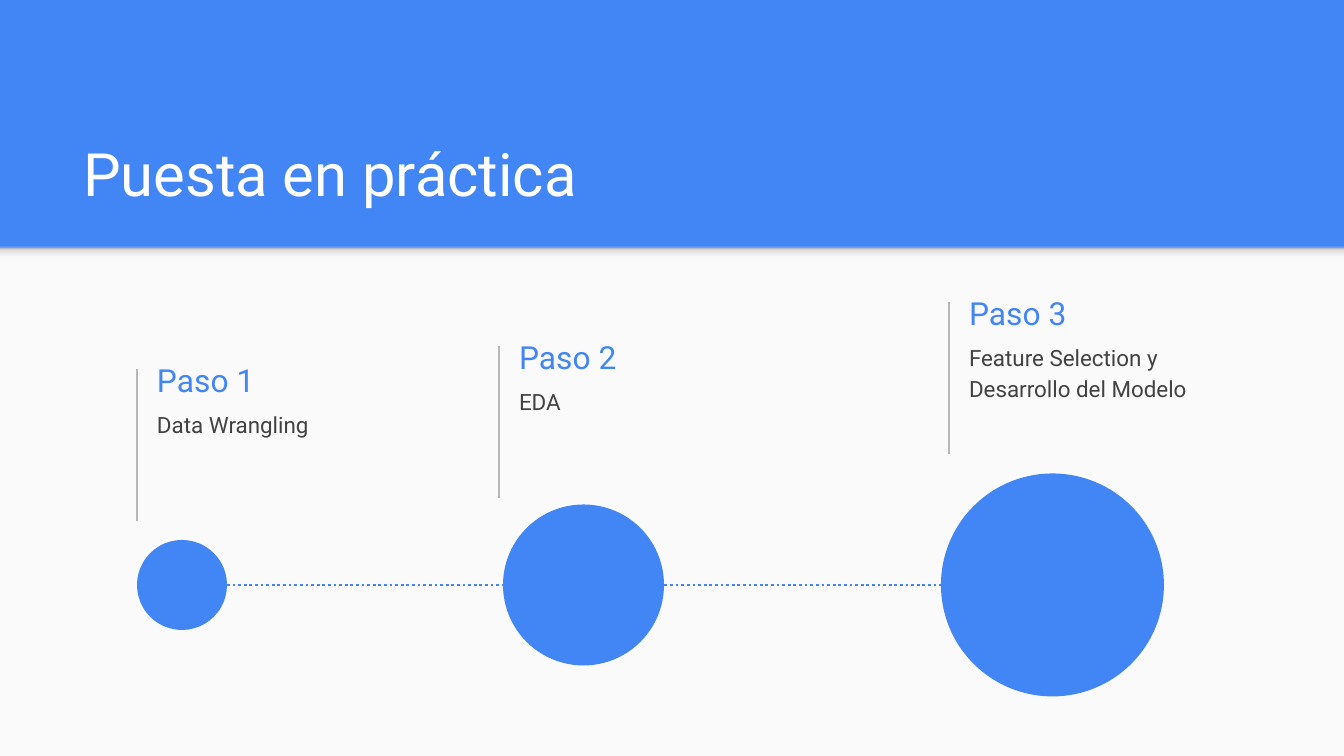
"""Build the slide with three growing steps on a dotted timeline."""
import copy
import pptx
import pptx.util
import pptx.dml.color
import pptx.enum.dml
import pptx.enum.shapes
import pptx.enum.text
import pptx.oxml.ns
import lxml.etree

HUES = {"blue": "4285F4", "paper": "FAFAFA", "white": "FFFFFF",
        "rule": "B7B7B7", "text": "424242"}
FADE = [(0, "F9F9F9"), (0.36, "F9F9F9"), (0.8, "DEDEDE"), (1, "999999")]
TITLE = "Puesta en práctica"
STEPS = [
    {"head": "Paso 1", "note": "Data Wrangling", "rule": (137, 369), "dot": (137, 90)},
    {"head": "Paso 2", "note": "EDA", "rule": (499, 346), "dot": (503, 161)},
    {"head": "Paso 3", "note": "Feature Selection y Desarrollo del Modelo",
     "rule": (949, 302), "dot": (941, 223)},
]
WIDE, HIGH, EDGE, AXIS = 1344, 756, 247, 585
RULE, INSET = 152, 13
KIND = pptx.enum.shapes.MSO_SHAPE
ANCHOR = pptx.enum.text.MSO_ANCHOR


def px(num):
    return pptx.util.Emu(round(num * 914400 / 134.4))


def rgb(code):
    return pptx.dml.color.RGBColor.from_string(code)


def shape(slide, kind, box, hue):
    item = slide.shapes.add_shape(kind, *map(px, box))
    item.shadow.inherit = False
    item.fill.solid()
    item.fill.fore_color.rgb = rgb(HUES[hue])
    item.line.fill.background()
    return item


def line(slide, ends, hue, size):
    item = slide.shapes.add_connector(
        pptx.enum.shapes.MSO_CONNECTOR.STRAIGHT, *map(px, ends))
    item.line.color.rgb = rgb(HUES[hue])
    item.line.width = pptx.util.Pt(size)
    lxml.etree.SubElement(item._element.spPr, pptx.oxml.ns.qn("a:effectLst"))
    return item


def write(item, text, size, hue, anchor):
    frame = item.text_frame
    frame.text = text
    frame.word_wrap = True
    frame.auto_size = pptx.enum.text.MSO_AUTO_SIZE.NONE
    frame.vertical_anchor = anchor
    frame.margin_left = frame.margin_right = px(INSET)
    frame.margin_top = frame.margin_bottom = px(INSET)
    para = frame.paragraphs[0]
    para.alignment = pptx.enum.text.PP_ALIGN.LEFT
    para.font.name = "Roboto"
    para.font.size = pptx.util.Pt(size)
    para.font.color.rgb = rgb(HUES[hue])
    return para


def label(slide, box, *style):
    return write(slide.shapes.add_textbox(*map(px, box)), *style)


def fade(item):
    item.fill.gradient()
    item.fill.gradient_angle = 90
    stops = item._element.spPr.find(".//" + pptx.oxml.ns.qn("a:gsLst"))
    for _ in FADE[2:]:
        stops.append(copy.deepcopy(stops[0]))
    for stop, (spot, code) in zip(item.fill.gradient_stops, FADE):
        stop.position = spot
        stop.color.rgb = rgb(code)


def main():
    deck = pptx.Presentation()
    deck.slide_width, deck.slide_height = px(WIDE), px(HIGH)
    slide = deck.slides.add_slide(deck.slide_layouts[5])
    slide.background.fill.solid()
    slide.background.fill.fore_color.rgb = rgb(HUES["blue"])

    title = slide.shapes.title
    title.left, title.top, title.width, title.height = map(px, (70, 109, 1208, 113))
    write(title, TITLE, 32, "white", ANCHOR.BOTTOM)

    shape(slide, KIND.RECTANGLE, (0, EDGE, WIDE, HIGH - EDGE), "paper")
    fade(shape(slide, KIND.RECTANGLE, (0, EDGE, WIDE, 16), "paper"))

    for step in STEPS:
        left, top = step["rule"]
        line(slide, (left, top, left, top + RULE), "rule", 0.75)
        label(slide, (left + 7, top - 18, 266, 58),
              step["head"], 17, "blue", ANCHOR.MIDDLE)
        note = label(slide, (left + 7, top + 25, 266, 84),
                     step["note"], 12, "text", ANCHOR.TOP)
        note.line_spacing = 1.15
        note.space_after = pptx.util.Pt(16)

    start = sum(STEPS[0]["dot"])
    stop = STEPS[-1]["dot"][0]
    axis = line(slide, (start, AXIS, stop, AXIS), "blue", 1.5)
    axis.line.dash_style = pptx.enum.dml.MSO_LINE.ROUND_DOT
    for step in STEPS:
        left, size = step["dot"]
        shape(slide, KIND.OVAL, (left, AXIS - size / 2, size, size), "blue")

    deck.save("out.pptx")


if __name__ == "__main__":
    main()
